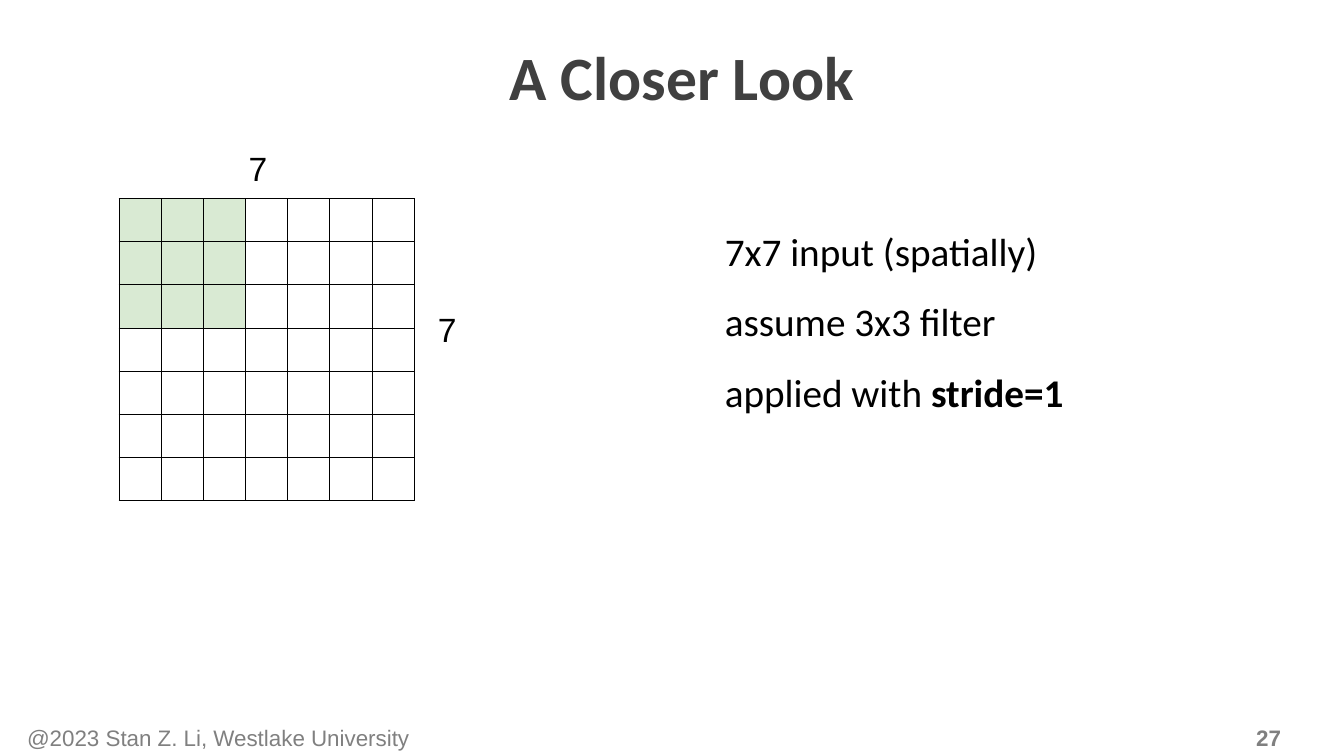
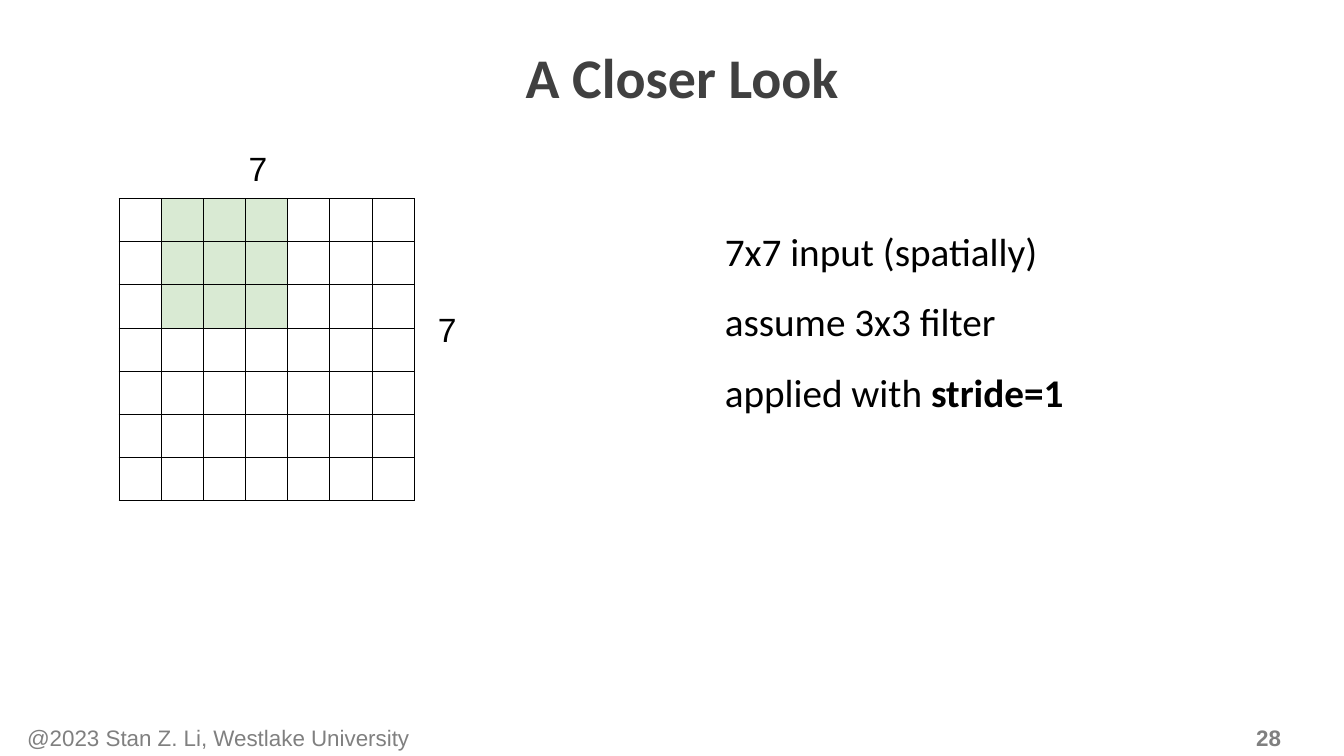
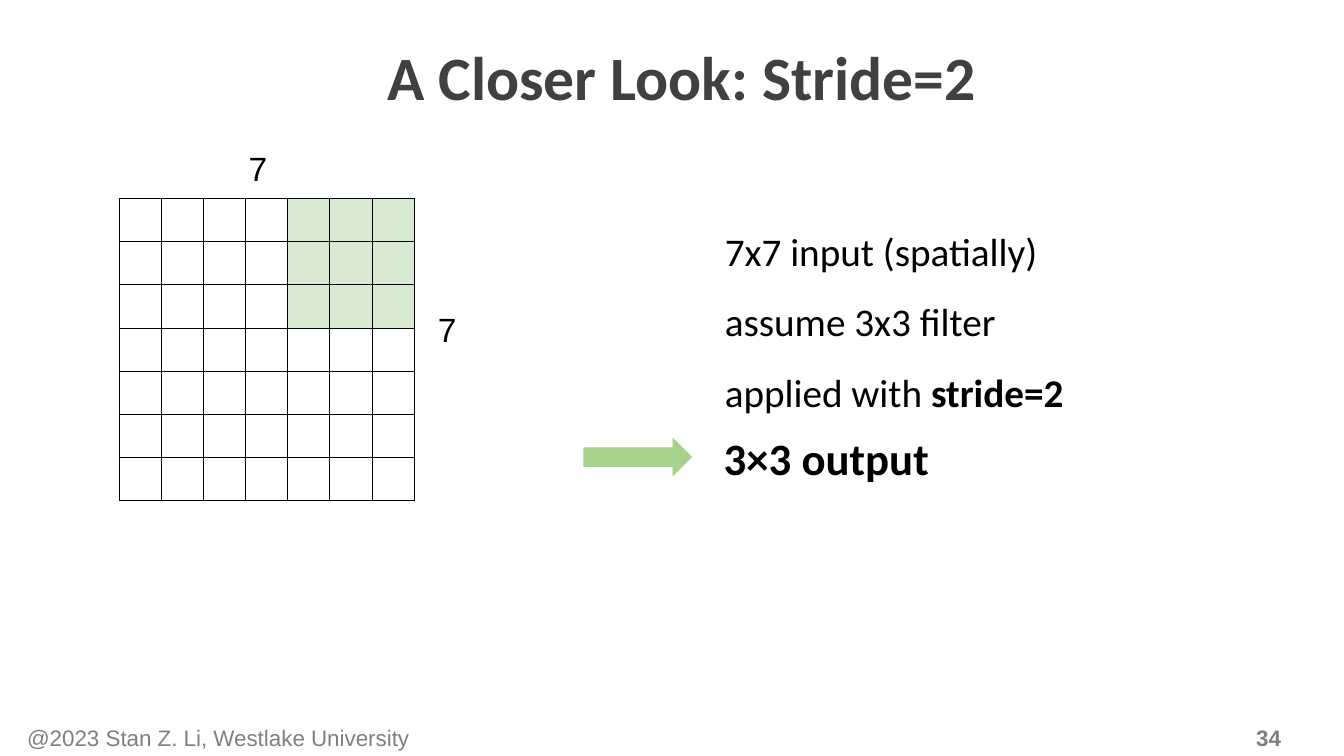
from lxml.etree import SubElement
from pptx import Presentation
from pptx.dml.color import RGBColor
from pptx.enum.shapes import MSO_SHAPE as Shape
from pptx.enum.text import MSO_ANCHOR as Anchor, PP_ALIGN as Align
from pptx.oxml.ns import qn
from pptx.util import Inches, Pt

BLACK, TITLE_GREY, FOOTER_GREY = "000000", "404040", "808080"
FILTER_GREEN, ARROW_GREEN = "D9EAD3", "A9D18E"
HEADING_FONT, LABEL_FONT = "Calibri", "Arial"
SLIDE_WIDTH, SLIDE_HEIGHT = 13.33, 7.5
INPUT_SIZE, FILTER_SIZE = 7, 3
FOOTER = "@2023 Stan Z. Li, Westlake University"


def color(hex_string):
    return RGBColor.from_string(hex_string)


def add_text(slide, box, paragraphs, size, font=HEADING_FONT, fill=BLACK, bold=False,
             align=Align.LEFT, anchor=Anchor.TOP, spacing=1.0):
    """Place paragraphs, each a list of runs; a second run in a paragraph is bold."""
    shape = slide.shapes.add_textbox(*map(Inches, box))
    frame = shape.text_frame
    frame.word_wrap = True
    frame.vertical_anchor = anchor
    for index, runs in enumerate(paragraphs):
        paragraph = frame.add_paragraph() if index else frame.paragraphs[0]
        paragraph.alignment = align
        paragraph.line_spacing = spacing
        for position, text in enumerate(runs):
            run = paragraph.add_run()
            run.text = text
            run.font.name = font
            run.font.size = Pt(size)
            run.font.bold = bold or position > 0
            run.font.color.rgb = color(fill)
    return shape


def add_frame(slide, title, title_size, number):
    """Add the title and the footer line that every slide carries."""
    heading = add_text(slide, (0, 0.26, SLIDE_WIDTH, 1.08), [[title]], title_size,
                       fill=TITLE_GREY, bold=True, align=Align.CENTER,
                       anchor=Anchor.MIDDLE, spacing=0.9)
    heading.text_frame.margin_left = Inches(0.3)
    for box, text, bold in (((0.17, 7.13, 5.64, 0.37), FOOTER, False),
                            ((12.36, 7.19, 0.82, 0.26), str(number), True)):
        add_text(slide, box, [[text]], 16, LABEL_FONT, FOOTER_GREY, bold,
                 anchor=Anchor.MIDDLE)


def outline_cell(cell):
    properties = cell._tc.get_or_add_tcPr()
    for side in ("a:lnL", "a:lnR", "a:lnT", "a:lnB"):
        line = SubElement(properties, qn(side), w=str(Pt(0.75)))
        solid = SubElement(line, qn("a:solidFill"))
        SubElement(solid, qn("a:srgbClr"), val=BLACK)


def add_input_grid(slide, box, filter_column):
    """Draw the input as a table, its filter window and its two side lengths."""
    left, top, width, height = box
    table = slide.shapes.add_table(INPUT_SIZE, INPUT_SIZE, *map(Inches, box)).table
    table.first_row = table.horz_banding = False
    for column in table.columns:
        column.width = Inches(width / INPUT_SIZE)
    for row in table.rows:
        row.height = Inches(height / INPUT_SIZE)
    for row in range(INPUT_SIZE):
        for column in range(INPUT_SIZE):
            cell = table.cell(row, column)
            outline_cell(cell)
            if row < FILTER_SIZE and 0 <= column - filter_column < FILTER_SIZE:
                cell.fill.solid()
                cell.fill.fore_color.rgb = color(FILTER_GREEN)
            else:
                cell.fill.background()
    label_boxes = ((left + 1.18, top - 0.55, 0.4, 0.5),
                   (left + width + 0.12, top + 1.05, 0.41, 0.5))
    for label_box in label_boxes:
        add_text(slide, label_box, [[str(INPUT_SIZE)]], 24, LABEL_FONT,
                 align=Align.CENTER)


def add_setup(slide, box, stride):
    lines = [["7x7 input (spatially)"], ["assume 3x3 filter"],
             ["applied with ", f"stride={stride}"]]
    add_text(slide, box, lines, 28, spacing=1.5)


def add_output(slide, box, text):
    """Draw an arrow that points at the resulting output size."""
    left, top, width, height = box
    arrow = slide.shapes.add_shape(Shape.RIGHT_ARROW, Inches(left), Inches(top + 0.13),
                                   Inches(1.07), Inches(0.37))
    arrow.shadow.inherit = False
    arrow.fill.solid()
    arrow.fill.fore_color.rgb = color(ARROW_GREEN)
    arrow.line.color.rgb = color(ARROW_GREEN)
    arrow.line.width = Pt(0.5)
    add_text(slide, (left + 1.29, top, width - 1.29, height), [[text]], 32, bold=True)


def add_stride_slide(presentation, title, title_size, number, filter_column, stride,
                     output=None):
    slide = presentation.slides.add_slide(presentation.slide_layouts[6])
    add_frame(slide, title, title_size, number)
    add_input_grid(slide, (1.18, 1.97, 2.93, 3), filter_column)
    add_setup(slide, (7.09, 1.97, 4.04, 2.15), stride)
    if output:
        add_output(slide, (5.79, 4.22, 4.05, 0.64), output)


def main():
    presentation = Presentation()
    presentation.slide_width = Inches(SLIDE_WIDTH)
    presentation.slide_height = Inches(SLIDE_HEIGHT)
    add_stride_slide(presentation, "A Closer Look", 44, 27, filter_column=0, stride=1)
    add_stride_slide(presentation, "A Closer Look", 40, 28, filter_column=1, stride=1)
    add_stride_slide(presentation, "A Closer Look: Stride=2", 44, 34, filter_column=4,
                     stride=2, output="3×3 output")
    presentation.save("out.pptx")


if __name__ == "__main__":
    main()
